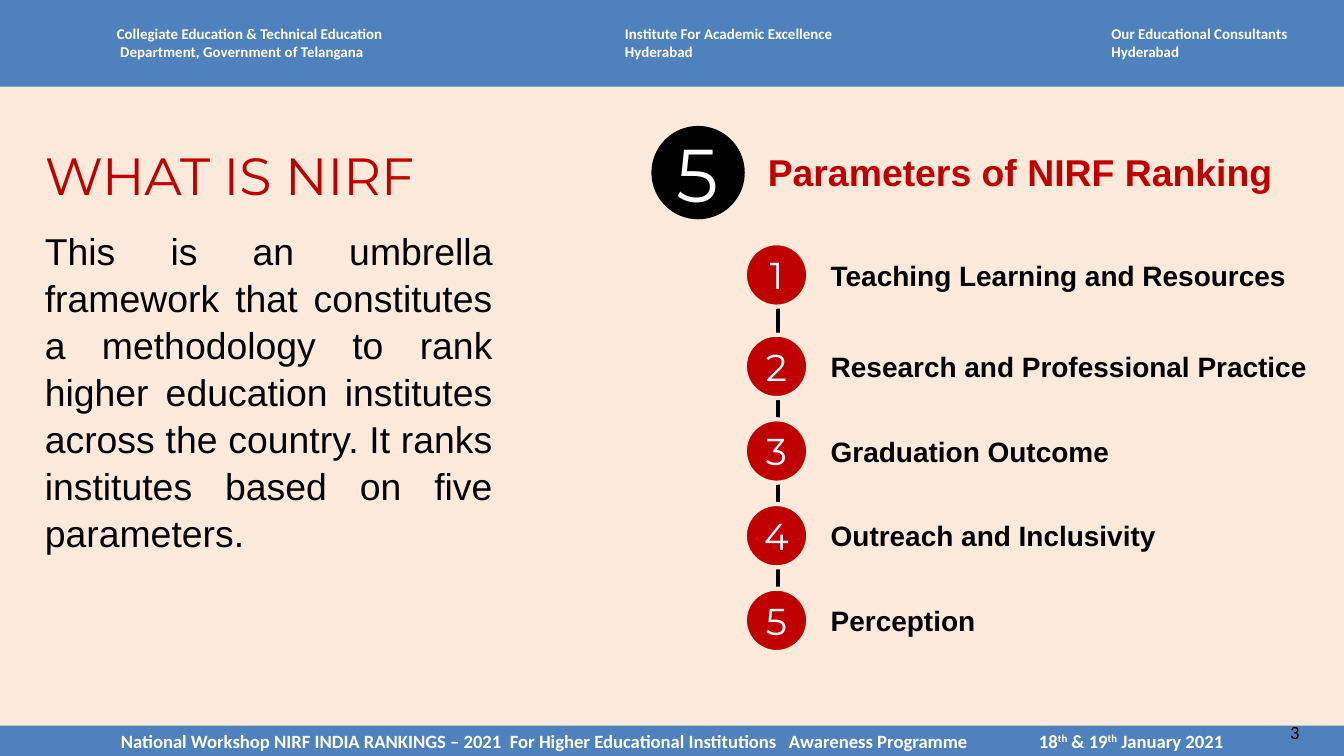
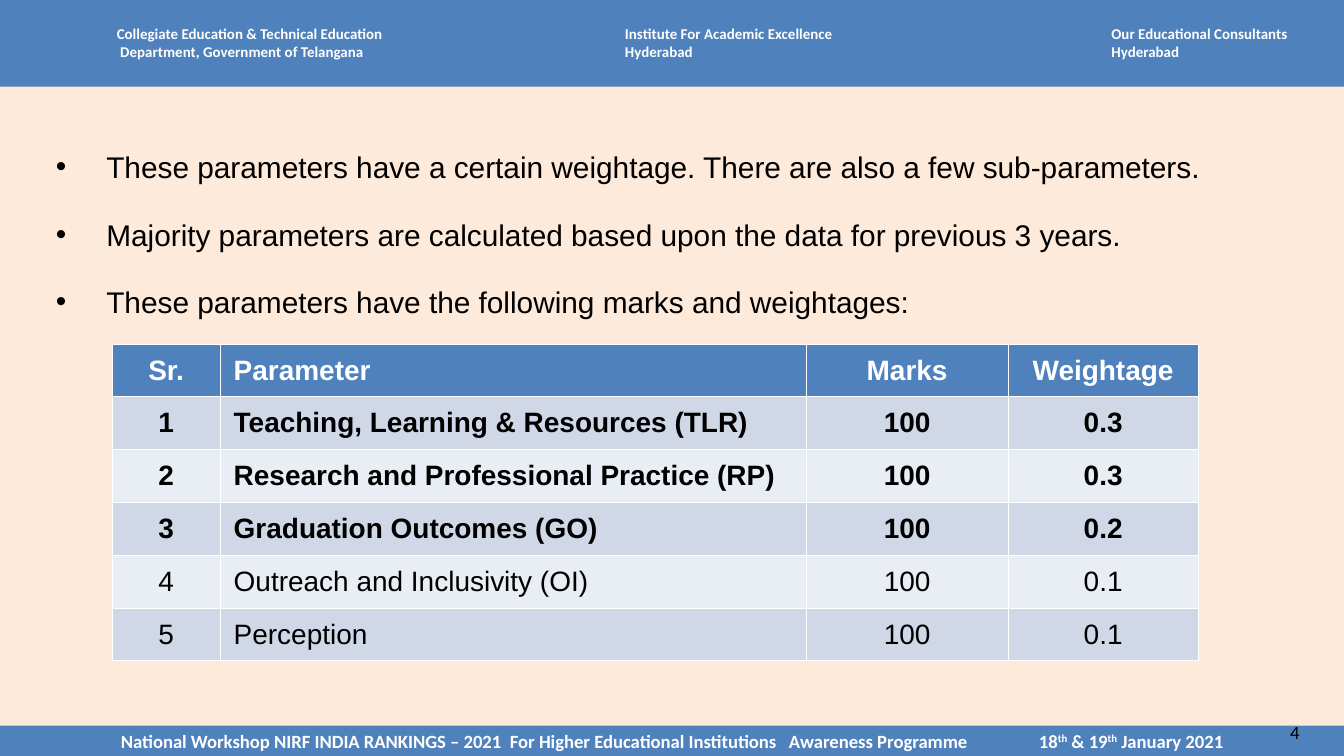
from lxml.etree import SubElement
from pptx import Presentation
from pptx.dml.color import RGBColor as Rgb
from pptx.enum.shapes import MSO_CONNECTOR as Line, MSO_SHAPE as Kind
from pptx.enum.text import MSO_ANCHOR as Anchor, MSO_AUTO_SIZE as Fit, PP_ALIGN as Align
from pptx.oxml.ns import qn
from pptx.util import Pt

HEX = {
    "blue": "4F81BD", "cream": "FDEADA", "red": "C00000", "black": "000000",
    "white": "FFFFFF", "dark": "D0D8E8", "light": "E9EDF4",
}
RGB = {name: Rgb.from_string(code) for name, code in HEX.items()}

HEAD = {"name": "Calibri", "size": Pt(8), "bold": True, "color": "white"}
FOOT = {**HEAD, "size": Pt(10)}
PAGE = {**FOOT, "bold": False, "color": "black"}
TITLE = {"name": "Montserrat", "size": Pt(28), "bold": False, "color": "red"}
DIGIT = {**TITLE, "size": Pt(20), "color": "white"}
BODY = {"name": "Arial", "size": Pt(20), "bold": False, "color": "black"}
LABEL = {**BODY, "size": Pt(15), "bold": True}


def write(frame, lines, font, align=Align.LEFT, anchor=Anchor.MIDDLE):
    """Fill a frame; a line is a string or a list of runs, where "th" is raised."""
    frame.word_wrap, frame.vertical_anchor = True, anchor
    for side in ("left", "top", "right", "bottom"):
        setattr(frame, "margin_" + side, 0)
    for i, line in enumerate(lines):
        para = frame.paragraphs[0] if i == 0 else frame.add_paragraph()
        para.alignment = align
        for text in [line] if isinstance(line, str) else line:
            run = para.add_run()
            run.text = text
            for key, value in font.items():
                if key == "color":
                    run.font.color.rgb = RGB[value]
                else:
                    setattr(run.font, key, value)
            if text == "th":
                run._r.get_or_add_rPr().set("baseline", "30000")
    return frame


def draw(slide, kind, box, fill, edge=None):
    shape = slide.shapes.add_shape(kind, *map(Pt, box))
    shape.shadow.inherit = False
    shape.fill.solid()
    shape.fill.fore_color.rgb = RGB[fill]
    if edge:
        shape.line.color.rgb = RGB[edge]
        shape.line.width = Pt(2.25)
    else:
        shape.line.fill.background()
    return shape


prs = Presentation()
prs.slide_width, prs.slide_height = Pt(720), Pt(405)
back = prs.slide_master.background.fill
back.solid()
back.fore_color.rgb = RGB["cream"]

about = prs.slides.add_slide(prs.slide_layouts.get_by_name("Title Only"))
marks = prs.slides.add_slide(prs.slide_layouts.get_by_name("Blank"))

# Header band, footer band and page number
HOSTS = [
    (62.6, ["Collegiate Education & Technical Education",
            "Department, Government of Telangana"]),
    (334.8, ["Institute For Academic Excellence", "Hyderabad"]),
    (595.4, ["Our Educational Consultants", "Hyderabad"]),
]
EVENT = ["National Workshop NIRF INDIA RANKINGS – 2021\tFor Higher Educational "
         "Institutions\tAwareness Programme\t18", "th", " & 19", "th", " January 2021"]

for page, slide in enumerate((about, marks), start=3):
    draw(slide, Kind.RECTANGLE, (0, 0, 720, 46.5), "blue")
    for left, lines in HOSTS:
        box = slide.shapes.add_textbox(Pt(left), Pt(13), Pt(120), Pt(20))
        box.width = Pt(150 if left < 300 else 120)
        frame = write(box.text_frame, lines, HEAD, anchor=Anchor.TOP)
        if lines[1].startswith("Department"):
            frame.paragraphs[1]._p.get_or_add_pPr().set("marL", str(Pt(1.8)))

    band = draw(slide, Kind.RECTANGLE, (0, 388.8, 720, 16.2), "blue")
    frame = write(band.text_frame, [EVENT], FOOT)
    frame.margin_left = Pt(64.8)
    tabs = SubElement(frame.paragraphs[0]._p.get_or_add_pPr(), qn("a:tabLst"))
    for stop in (208.4, 357.9, 491.8):
        SubElement(tabs, qn("a:tab"), pos=str(Pt(stop)), algn="l")

    box = slide.shapes.add_textbox(Pt(691.2), Pt(386), Pt(22), Pt(12.5))
    write(box.text_frame, [str(page)], PAGE, anchor=Anchor.TOP)

# What is NIRF
title = about.shapes.title
title.left, title.top, title.width, title.height = map(Pt, (24, 76.5, 234, 31))
write(title.text_frame, ["WHAT IS NIRF"], TITLE, anchor=Anchor.TOP)
title.text_frame.auto_size = Fit.NONE

box = about.shapes.add_textbox(Pt(24), Pt(119), Pt(240), Pt(180))
frame = write(box.text_frame, [
    "This is an umbrella framework that constitutes a methodology to rank higher "
    "education institutes across the country. It ranks institutes based on five "
    "parameters."], BODY, Align.JUSTIFY)
frame.paragraphs[0].line_spacing = 1.05

# Five parameters on a chain
box = about.shapes.add_textbox(Pt(411.3), Pt(76.5), Pt(300), Pt(31))
write(box.text_frame, ["Parameters of NIRF Ranking"],
      {**BODY, "bold": True, "color": "red"})
disc = draw(about, Kind.OVAL, (349, 67.5, 50, 50), "black")
write(disc.text_frame, ["5"], {**DIGIT, "size": Pt(40)}, Align.CENTER)

chain = about.shapes.add_connector(
    Line.STRAIGHT, Pt(416.9), Pt(130.3), Pt(416.9), Pt(340.6))
chain.line.color.rgb = RGB["black"]
chain.line.width = Pt(2.25)
SubElement(chain._element.spPr, qn("a:effectLst"))

STEPS = ["Teaching Learning and Resources", "Research and Professional Practice",
         "Graduation Outcome", "Outreach and Inclusivity", "Perception"]
tops = [130.3] + [179.3 + 45.35 * i for i in range(4)]
for num, (step, top) in enumerate(zip(STEPS, tops), start=1):
    disc = draw(about, Kind.OVAL, (399, top, 34, 34), "red", "cream")
    write(disc.text_frame, [str(num)], DIGIT, Align.CENTER)
    box = about.shapes.add_textbox(Pt(445), Pt(top + 1.5), Pt(264), Pt(31))
    write(box.text_frame, [step], LABEL)

# Marks and weightages
NOTES = [
    "These parameters have a certain weightage. There are also a few sub-parameters.",
    "Majority parameters are calculated based upon the data for previous 3 years.",
    "These parameters have the following marks and weightages:",
]
box = marks.shapes.add_textbox(Pt(30), Pt(65), Pt(626), Pt(120))
frame = write(box.text_frame, NOTES, {**BODY, "size": Pt(16)})
for i, para in enumerate(frame.paragraphs):
    para.line_spacing = 1.05
    para.space_before = Pt(16 if i else 0)
    props = para._p.get_or_add_pPr()
    props.set("marL", str(Pt(27)))
    props.set("indent", str(Pt(-27)))
    SubElement(props, qn("a:buFont"), typeface="Arial")
    SubElement(props, qn("a:buChar"), char="•")

ROWS = [
    ("Sr.", "Parameter", "Marks", "Weightage"),
    ("1", "Teaching, Learning & Resources (TLR)", "100", "0.3"),
    ("2", "Research and Professional Practice (RP)", "100", "0.3"),
    ("3", "Graduation Outcomes (GO)", "100", "0.2"),
    ("4", "Outreach and Inclusivity (OI)", "100", "0.1"),
    ("5", "Perception", "100", "0.1"),
]
WIDTHS = (58, 314, 108, 102)
grid = marks.shapes.add_table(
    len(ROWS), len(WIDTHS), Pt(60), Pt(184.3), Pt(sum(WIDTHS)), Pt(170)).table
for col, width in zip(grid.columns, WIDTHS):
    col.width = Pt(width)
for r, row in enumerate(ROWS):
    grid.rows[r].height = Pt(28.3)
    fill = "blue" if r == 0 else "dark" if r % 2 else "light"
    font = {**LABEL, "bold": r < 4, "color": "black" if r else "white"}
    for c, text in enumerate(row):
        cell = grid.cell(r, c)
        write(cell.text_frame, [text], font, Align.LEFT if c == 1 else Align.CENTER)
        cell.vertical_anchor = Anchor.MIDDLE
        cell.margin_left = cell.margin_right = Pt(7.2)
        props = cell._tc.get_or_add_tcPr()
        for side in "LRTB":
            edge = SubElement(props, qn("a:ln" + side), w=str(Pt(0.45)))
            paint = SubElement(edge, qn("a:solidFill"))
            SubElement(paint, qn("a:srgbClr"), val=HEX["white"])
        cell.fill.solid()
        cell.fill.fore_color.rgb = RGB[fill]

prs.save("out.pptx")
